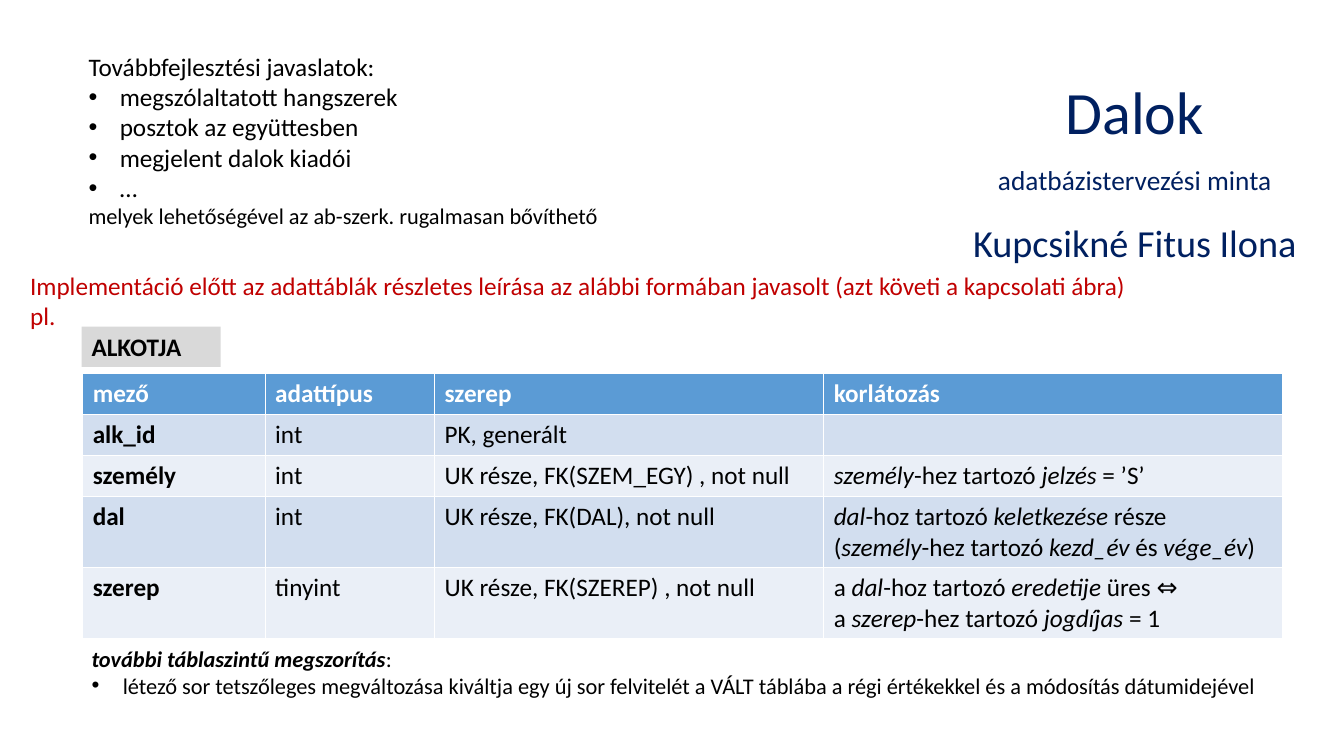
from lxml import etree
from pptx import Presentation
from pptx import util as u
from pptx.dml.color import RGBColor
from pptx.enum import shapes, text
from pptx.oxml.ns import qn

FONT = "Calibri"
BLACK, WHITE, NAVY, RED = "000000", "FFFFFF", "002060", "C00000"
GREY, HEADER, BANDS = "D9D9D9", "5B9BD5", ("D2DEEF", "EAEFF7")

SUGGESTIONS = ["megszólaltatott hangszerek", "posztok az együttesben",
               "megjelent dalok kiadói", "…"]
COLUMNS = [1.81, 1.68, 3.86, 4.55]
ROW_HEIGHTS = [0.41, 0.41, 0.41, 0.7, 0.7]
ROWS = [
    ["mező", "adattípus", "szerep", "korlátozás"],
    ["alk_id", "int", "PK, generált", ""],
    ["személy", "int", "UK része, FK(SZEM_EGY) , not null",
     "*személy*-hez tartozó *jelzés* = ’S’"],
    ["dal", "int", "UK része, FK(DAL), not null",
     "*dal*-hoz tartozó *keletkezése* része \n"
     "(*személy*-hez tartozó *kezd_év *és* vége_év*)"],
    ["szerep", "tinyint", "UK része, FK(SZEREP) , not null",
     "a *dal*-hoz tartozó *eredetije* üres ⇔\n"
     "a *szerep*-hez tartozó *jogdíjas* = 1"],
]


def rgb(color):
    return RGBColor.from_string(color)


def fill(target, color):
    target.fill.solid()
    target.fill.fore_color.rgb = rgb(color)


def style(font, size, color, bold=None):
    font.name = FONT
    font.size = u.Pt(size)
    font.color.rgb = rgb(color)
    font.bold = bold


def write(p, marked, size, color, bold=None):
    style(p.font, size, color, bold)
    for i, line in enumerate(marked.split("\n")):
        if i:
            p.add_line_break()
        for j, part in enumerate(line.split("*")):
            if part:
                r = p.add_run()
                r.text = part
                if j % 2:
                    r.font.italic = True


def bullet(p):
    pPr = p._p.get_or_add_pPr()
    pPr.set("marL", str(u.Inches(0.31)))
    pPr.set("indent", str(u.Inches(-0.31)))
    font = etree.Element(qn("a:buFont"), typeface="Arial")
    char = etree.Element(qn("a:buChar"), char="•")
    pPr.insert(0, font)
    font.addnext(char)


def text_frame(s, box):
    tf = s.shapes.add_textbox(*map(u.Inches, box)).text_frame
    tf.word_wrap = True
    return tf


def add_suggestions(s, box):
    tf = text_frame(s, box)
    write(tf.paragraphs[0], "Továbbfejlesztési javaslatok:", 18, BLACK)
    for item in SUGGESTIONS:
        p = tf.add_paragraph()
        write(p, item, 18, BLACK)
        bullet(p)
    write(tf.add_paragraph(),
          "melyek lehetőségével az ab-szerk. rugalmasan bővíthető", 16, BLACK)


def add_title(s, box):
    tf = text_frame(s, box)
    tf.vertical_anchor = text.MSO_ANCHOR.MIDDLE
    p = tf.paragraphs[0]
    p.alignment = text.PP_ALIGN.CENTER
    p.line_spacing = 1.5
    lines = [("Dalok", 42.9), ("adatbázistervezési minta", 19.5),
             ("Kupcsikné Fitus Ilona", 27.3)]
    for i, (line, size) in enumerate(lines):
        if i:
            p.add_line_break()
        r = p.add_run()
        r.text = line
        style(r.font, size, NAVY)


def add_instruction(s, box):
    tf = text_frame(s, box)
    write(tf.paragraphs[0],
          "Implementáció előtt az adattáblák részletes leírása az alábbi "
          "formában javasolt (azt követi a kapcsolati ábra)", 18, RED)
    write(tf.add_paragraph(), "pl.", 18, RED)


def add_field_table(s, left, top):
    frame = s.shapes.add_table(
        len(ROWS), len(COLUMNS), u.Inches(left), u.Inches(top),
        u.Inches(sum(COLUMNS)), u.Inches(sum(ROW_HEIGHTS)))
    table = frame.table
    for column, width in zip(table.columns, COLUMNS):
        column.width = u.Inches(width)
    for i, (row, height) in enumerate(zip(table.rows, ROW_HEIGHTS)):
        row.height = u.Inches(height)
        for j, cell in enumerate(row.cells):
            head = i == 0
            fill(cell, HEADER if head else BANDS[(i - 1) % 2])
            write(cell.text_frame.paragraphs[0], ROWS[i][j], 18,
                  WHITE if head else BLACK, head or j == 0)


def add_table_name(s, box):
    sp = s.shapes.add_shape(shapes.MSO_SHAPE.RECTANGLE, *map(u.Inches, box))
    sp.shadow.inherit = False
    fill(sp, GREY)
    sp.line.fill.background()
    p = sp.text_frame.paragraphs[0]
    p.alignment = text.PP_ALIGN.LEFT
    write(p, "ALKOTJA", 18, BLACK, True)


def add_constraint(s, box):
    tf = text_frame(s, box)
    p = tf.paragraphs[0]
    write(p, "*további táblaszintű megszorítás*:", 16, BLACK)
    p.runs[0].font.bold = True
    p = tf.add_paragraph()
    write(p, "létező sor tetszőleges megváltozása kiváltja egy új sor "
             "felvitelét a VÁLT táblába a régi értékekkel és a módosítás "
             "dátumidejével", 16, BLACK)
    bullet(p)


def main():
    prs = Presentation()
    prs.slide_width, prs.slide_height = u.Inches(13.33), u.Inches(7.5)
    s = prs.slides.add_slide(prs.slide_layouts[6])
    add_suggestions(s, (0.78, 0.46, 5.54, 1.88))
    add_title(s, (9.45, 0.26, 3.61, 2.49))
    add_instruction(s, (0.2, 2.63, 11.51, 0.71))
    add_field_table(s, 0.82, 3.7)
    add_table_name(s, (0.81, 3.24, 1.38, 0.4))
    add_constraint(s, (0.81, 6.35, 11.9, 0.64))
    prs.save("out.pptx")


if __name__ == "__main__":
    main()
